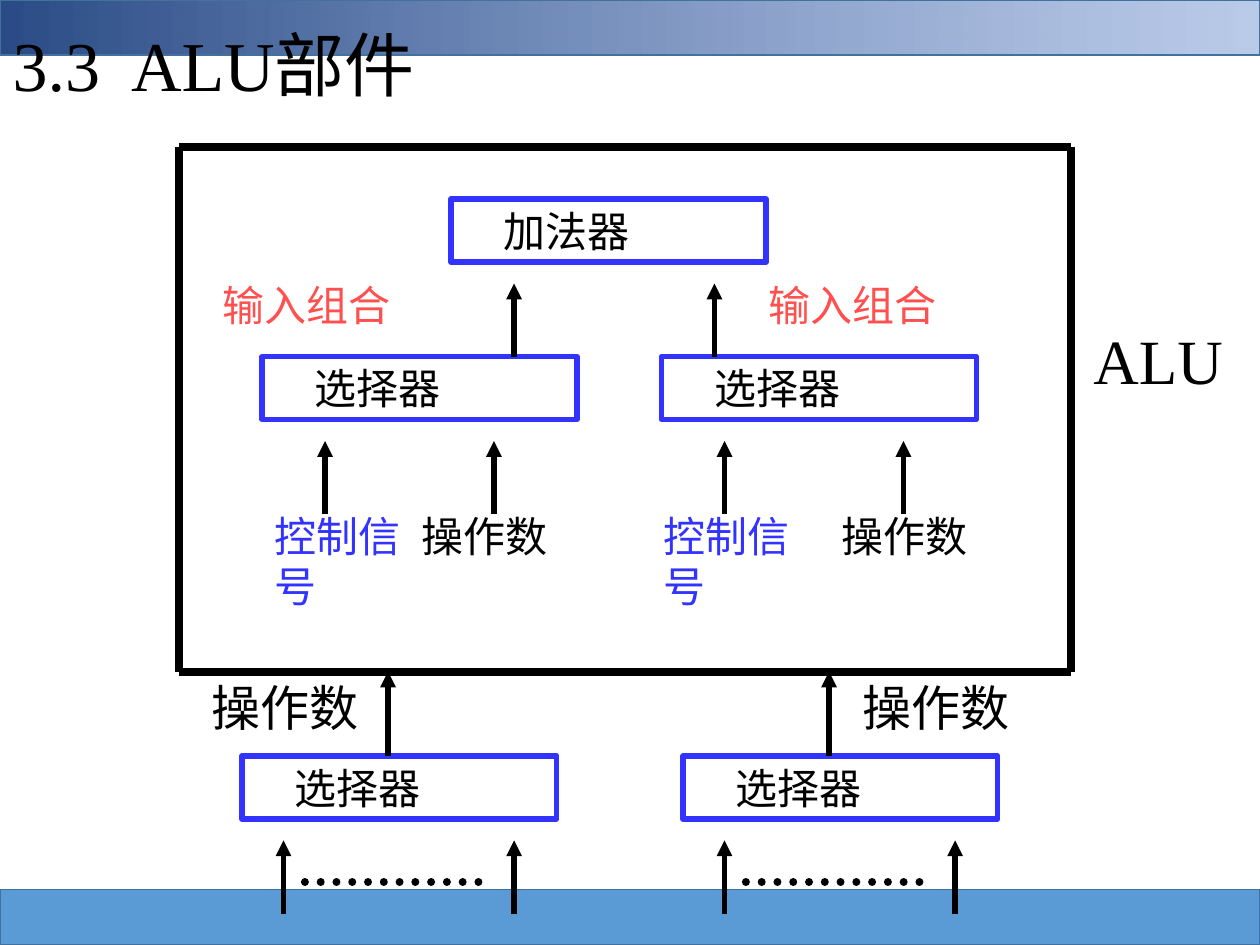
from lxml import etree
from pptx import Presentation
from pptx.dml.color import RGBColor
from pptx.enum.dml import MSO_LINE
from pptx.enum.shapes import MSO_CONNECTOR, MSO_SHAPE
from pptx.enum.text import MSO_ANCHOR, PP_ALIGN
from pptx.oxml.ns import qn
from pptx.util import Inches, Pt

RECT = MSO_SHAPE.RECTANGLE
STRAIGHT = MSO_CONNECTOR.STRAIGHT
ROUND_DOT = MSO_LINE.ROUND_DOT
TOP = MSO_ANCHOR.TOP
LEFT = PP_ALIGN.LEFT
FONT = "Times New Roman"
BLACK, WHITE, BLUE, RED = "000000", "FFFFFF", "3333FF", "FF5050"


def rgb(value):
    """Return the colour for a hex string."""
    return RGBColor.from_string(value)


def format_text(sp, text, size, color=BLACK, indent=0.1):
    """Fill a shape with one left-aligned paragraph."""
    tf = sp.text_frame
    tf.word_wrap = True
    tf.vertical_anchor = TOP
    tf.margin_left = Inches(indent)
    p = tf.paragraphs[0]
    p.text = text
    p.alignment = LEFT
    p.font.size = Pt(size)
    p.font.name = FONT
    p.font.bold = False
    p.font.color.rgb = rgb(color)
    return p


def add_rect(s, x, y, w, h, fill, line, weight):
    """Add a plain outlined rectangle."""
    sp = s.shapes.add_shape(RECT, Inches(x), Inches(y), Inches(w), Inches(h))
    sp.shadow.inherit = False
    sp.fill.solid()
    sp.fill.fore_color.rgb = rgb(fill)
    sp.line.color.rgb = rgb(line)
    sp.line.width = Pt(weight)
    return sp


def add_bands(s):
    """Add the footer band and the gradient header band."""
    footer, header = [add_rect(s, 0, y, 10, 0.44, "5B9BD5", "41719C", 1) for y in (7.06, 0)]
    header.fill.gradient()
    header.fill.gradient_angle = 0
    for stop, color in zip(header.fill.gradient_stops, ("2A4B86", "8FAADC")):
        stop.color.rgb = rgb(color)
    end_color = header.element.xpath(".//a:gs/a:srgbClr")[-1]
    etree.SubElement(end_color, qn("a:alpha"), val="61000")
    return header


def add_title(s, below):
    """Place the title placeholder above the header band."""
    title = s.shapes.title
    title.left, title.top = Inches(0), Inches(0.25)
    title.width, title.height = Inches(5.92), Inches(0.64)
    p = format_text(title, "3.3\tALU部件", 40)
    tabs = etree.SubElement(p._p.get_or_add_pPr(), qn("a:tabLst"))
    etree.SubElement(tabs, qn("a:tab"), pos=str(Inches(0.94)), algn="l")
    p.line_spacing = 0.8
    below.element.addnext(title.element)


def add_unit(s, x, y, text):
    """Add a blue-outlined functional unit."""
    format_text(add_rect(s, x, y, 2.5, 0.5, WHITE, BLUE, 3), text, 24, indent=0.42)


def add_label(s, x, y, w, h, text, size=24, color=BLACK):
    """Add a text label."""
    sp = s.shapes.add_textbox(Inches(x), Inches(y), Inches(w), Inches(h))
    format_text(sp, text, size, color)


def add_line(s, x1, y1, x2, y2, weight=4.5):
    """Add a black straight line."""
    line = s.shapes.add_connector(STRAIGHT, Inches(x1), Inches(y1), Inches(x2), Inches(y2))
    line.line.color.rgb = rgb(BLACK)
    line.line.width = Pt(weight)
    etree.SubElement(line.element.spPr, qn("a:effectLst"))
    return line


def add_arrow(s, x, bottom, top):
    """Add an upward arrow."""
    arrow = add_line(s, x, bottom, x, top, 3)
    etree.SubElement(arrow.line._get_or_add_ln(), qn("a:tailEnd"), type="triangle")


def add_dots(s, x):
    """Add a dotted line of round dots."""
    dots = add_line(s, x, 7, x + 1.41, 7)
    dots.line.dash_style = ROUND_DOT
    dots.line._get_or_add_ln().set("cap", "rnd")


def add_alu(s):
    """Draw the ALU frame with its adder, selectors and inputs."""
    left, top, right, bottom = 1.42, 1.17, 8.5, 5.33
    add_unit(s, 3.58, 1.58, "加法器")
    for x in (2.08, 5.25):
        add_unit(s, x, 2.83, "选择器")
    for x in (4.08, 5.67):
        add_arrow(s, x, 2.83, 2.25)
    for x in (2.58, 3.92, 5.75, 7.17):
        add_arrow(s, x, 4.08, 3.5)
    for x in (2.08, 5.17):
        add_label(s, x, 4, 1.42, 0.9, "控制信号", color=BLUE)
    for x in (3.25, 6.58):
        add_label(s, x, 4, 1.67, 0.5, "操作数")
    for x in (1.67, 6):
        add_label(s, x, 2.17, 2.25, 0.5, "输入组合", color=RED)
    for y in (top, bottom):
        add_line(s, left, y, right, y)
    for x in (left, right):
        add_line(s, x, top, x, bottom)
    add_label(s, 8.58, 2.5, 1.42, 0.7, "ALU", 36)


def add_operand_sources(s):
    """Draw the selectors that feed operands to the ALU."""
    for x, arrow_x, label_x in ((1.92, 3.08, 1.58), (5.42, 6.58, 6.75)):
        add_unit(s, x, 6, "选择器")
        add_arrow(s, arrow_x, 6, 5.33)
        add_label(s, label_x, 5.33, 1.67, 0.57, "操作数", 28)
        for offset in (0.33, 2.16):
            add_arrow(s, x + offset, 7.25, 6.67)
        add_dots(s, x + 0.5)


def main():
    """Build and save the slide."""
    prs = Presentation()
    prs.slide_width, prs.slide_height = Inches(10), Inches(7.5)
    s = prs.slides.add_slide(prs.slide_layouts[5])
    add_title(s, add_bands(s))
    add_alu(s)
    add_operand_sources(s)
    prs.save("out.pptx")


if __name__ == "__main__":
    main()
